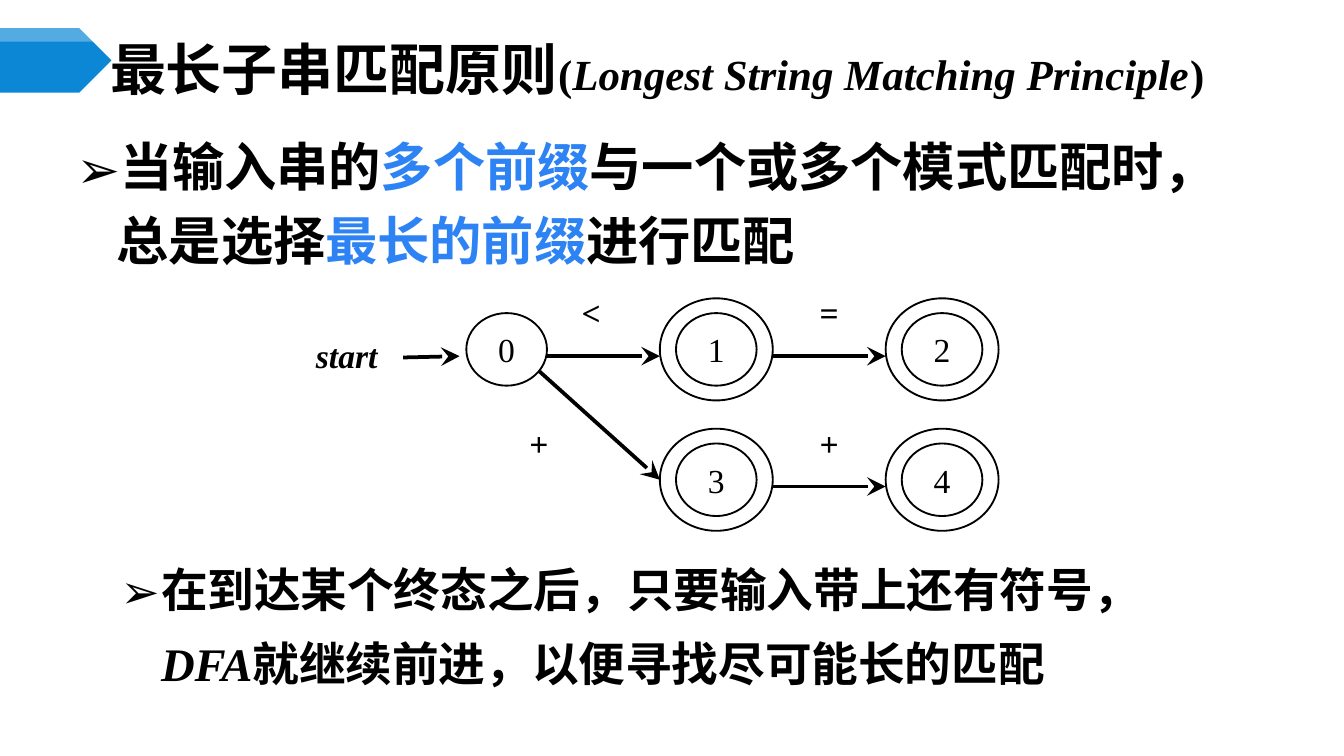
from lxml import etree
from pptx import Presentation
from pptx.dml.color import RGBColor
from pptx.enum import lang, shapes, text
from pptx.oxml import ns
from pptx.util import Inches, Pt

BLACK = RGBColor(0, 0, 0)
WHITE = RGBColor(0xFF, 0xFF, 0xFF)
BLUE = RGBColor(0x2D, 0x83, 0xF4)
BANNER = RGBColor(0x0B, 0x87, 0xD6)
TIMES = "Times New Roman"
SANS = "Noto Sans CJK SC"


def add_xml(parent, tag, **attrs):
    """Append a drawing element to its parent."""
    return etree.SubElement(parent, ns.qn(tag), attrs)


def add_run(par, words, size=18, font=TIMES, color=BLACK, bold=True, italic=False):
    """Add one formatted run to a paragraph."""
    run = par.add_run()
    run.text = words
    face = run.font
    face.size, face.name, face.bold, face.italic = Pt(size), font, bold, italic
    face.color.rgb = color
    face.language_id = lang.MSO_LANGUAGE_ID.SIMPLIFIED_CHINESE
    face.fill._xPr.find(ns.qn("a:latin")).addnext(
        etree.Element(ns.qn("a:ea"), typeface=SANS))


def add_box(slide, x, y, w, h, anchor=text.MSO_ANCHOR.MIDDLE):
    """Add a wrapping text box and return its frame."""
    frame = slide.shapes.add_textbox(Inches(x), Inches(y), Inches(w), Inches(h)).text_frame
    frame.word_wrap = True
    frame.vertical_anchor = anchor
    return frame


def add_shape(slide, kind, x, y, w, h, fill=None, line=None):
    """Add a flat preset shape."""
    shape = slide.shapes.add_shape(kind, Inches(x), Inches(y), Inches(w), Inches(h))
    shape.shadow.inherit = False
    if fill is None:
        shape.fill.background()
    else:
        shape.fill.solid()
        shape.fill.fore_color.rgb = fill
    if line is None:
        shape.line.fill.background()
    else:
        shape.line.color.rgb = line
        shape.line.width = Pt(1)
    return shape


def add_arrow(slide, x1, y1, x2, y2):
    """Add a black line with a large stealth head."""
    line = slide.shapes.add_connector(
        shapes.MSO_CONNECTOR.STRAIGHT, Inches(x1), Inches(y1), Inches(x2), Inches(y2))
    line.line.color.rgb = BLACK
    line.line.width = Pt(2)
    add_xml(line.line._get_or_add_ln(), "a:tailEnd", type="stealth", w="lg", len="lg")
    add_xml(line._element.spPr, "a:effectLst")


def add_label(slide, words, x, y, **style):
    """Add a centred label at a midpoint."""
    par = add_box(slide, x - 0.42, y - 0.21, 0.84, 0.43).paragraphs[0]
    par.alignment = text.PP_ALIGN.CENTER
    add_run(par, words, **style)


def add_state(slide, name, x, y, final=True):
    """Add a state circle, ringed if final."""
    oval = shapes.MSO_SHAPE.OVAL
    if final:
        add_shape(slide, oval, x - 0.42, y - 0.38, 0.84, 0.76, line=BLACK)
    node = add_shape(slide, oval, x - 0.3, y - 0.27, 0.6, 0.54, WHITE, BLACK)
    frame = node.text_frame
    frame.word_wrap = False
    frame.vertical_anchor = text.MSO_ANCHOR.MIDDLE
    par = frame.paragraphs[0]
    par.alignment = text.PP_ALIGN.CENTER
    add_run(par, name, bold=False)


def add_banner(slide, x, y, w, h):
    """Draw the arrow tag with its pale top band."""
    kind = shapes.MSO_SHAPE.PENTAGON
    add_shape(slide, kind, x, y, w, h, BANNER)
    band = add_shape(slide, kind, x, y, w, 0.1, WHITE)
    color = band.fill._xPr.find(ns.qn("a:solidFill"))[0]
    add_xml(color, "a:alpha", val="30000")


def add_title(slide, x, y, w, h):
    """Write the slide title."""
    par = add_box(slide, x, y, w, h).paragraphs[0]
    add_run(par, "最长子串匹配原则", size=30, font=SANS)
    add_run(par, "(", size=23)
    add_run(par, "Longest String Matching Principle", size=23, italic=True)
    add_run(par, ")", size=23)


def add_point(par, runs, size, left, before=0):
    """Fill a bulleted paragraph with runs."""
    props = par._p.get_or_add_pPr()
    props.set("marL", str(Inches(left)))
    props.set("indent", str(Inches(-0.3)))
    par.line_spacing = Pt(40)
    par.space_before = Pt(before)
    add_xml(add_xml(props, "a:buClr"), "a:srgbClr", val=str(BLACK))
    add_xml(props, "a:buFont", typeface=SANS)
    add_xml(props, "a:buChar", char="➢")
    for words, style in runs:
        add_run(par, words, size=size, **style)


def add_body(slide, x, y, w, h):
    """Write the two points above and below the diagram."""
    frame = add_box(slide, x, y, w, h, text.MSO_ANCHOR.TOP)
    blue = {"color": BLUE}
    add_point(frame.paragraphs[0], [
        ("当输入串的", {}), ("多个前缀", blue),
        ("与一个或多个模式匹配时，总是选择", {}),
        ("最长的前缀", blue), ("进行匹配", {})], 28, 0.3)
    add_point(frame.add_paragraph(), [
        ("在到达某个终态之后，只要输入带上还有符号，", {}),
        ("DFA", {"italic": True}),
        ("就继续前进，以便寻找尽可能长的匹配", {})], 25, 0.63, 144.8)


def add_graph(slide, x, y, w, h):
    """Draw the automaton with its start arrow."""
    cols = [x + 1.61, x + 3.17, x + w - 0.42]
    rows = [y + 0.38, y + h - 0.38]
    add_state(slide, "0", cols[0], rows[0], final=False)
    for names, row in zip(("12", "34"), rows):
        for name, col in zip(names, cols[1:]):
            add_state(slide, name, col, row)
    edges = [("<", cols[0] + 0.3, 0, cols[1]),
             ("=", cols[1] + 0.42, 0, cols[2]),
             ("+", cols[1] + 0.42, 1, cols[2])]
    for sign, left, row, right in edges:
        level = rows[row] + 0.05
        add_arrow(slide, left, level, right - 0.42, level)
        add_label(slide, sign, right - 0.84 - 0.09 * (sign == "<"), level - 0.33)
    add_arrow(slide, cols[0] + 0.24, rows[0] + 0.16, cols[1] - 0.42, rows[1])
    add_label(slide, "+", cols[0] + 0.24, rows[1] - 0.28)
    add_arrow(slide, x + 0.84, rows[0] + 0.06, x + 1.26, rows[0] + 0.05)
    add_label(slide, "start", x + 0.42, rows[0] + 0.04, italic=True)


def main():
    """Build and save the slide."""
    deck = Presentation()
    deck.slide_width, deck.slide_height = Inches(10), Inches(10 * 9 / 16)
    slide = deck.slides.add_slide(deck.slide_layouts[6])
    add_body(slide, 0.47, 0.86, 8.66, 4.63)
    add_title(slide, 0.72, 0.31, 9.08, 0.39)
    add_graph(slide, 2.16, 2.22, 5.27, 1.73)
    add_banner(slide, 0, 0.21, 0.83, 0.48)
    deck.save("out.pptx")


if __name__ == "__main__":
    main()
